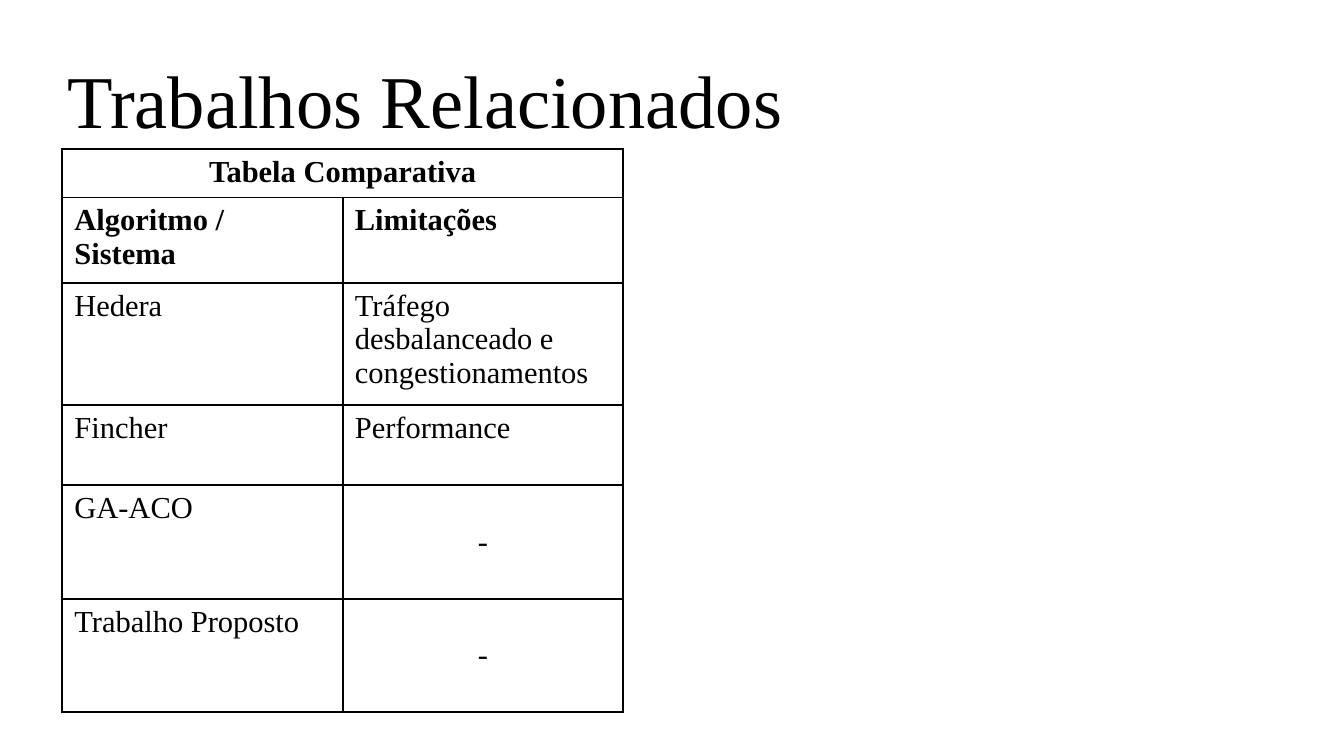
import pptx
import pptx.util
import pptx.dml.color
import pptx.enum.text
import pptx.oxml
import pptx.oxml.ns
from pptx.util import Inches

FONT = "Times New Roman"
COLORS = {"text": "000000", "border": "000000", "background": "FFFFFF"}
ROW_HEIGHTS = [0.4, 0.7, 1.0, 0.66, 0.93, 0.93]
ROWS = [
    ("Tabela Comparativa", ""),
    ("Algoritmo / Sistema", "Limitações"),
    ("Hedera", "Tráfego desbalanceado e congestionamentos"),
    ("Fincher", "Performance"),
    ("GA-ACO", "-"),
    ("Trabalho Proposto", "-"),
]
HEADER_ROWS = 2
CENTER = pptx.enum.text.PP_ALIGN.CENTER
LEFT = pptx.enum.text.PP_ALIGN.LEFT
MIDDLE = pptx.enum.text.MSO_ANCHOR.MIDDLE
TOP = pptx.enum.text.MSO_ANCHOR.TOP


def rgb(name):
    return pptx.dml.color.RGBColor.from_string(COLORS[name])


def write(tf, text, size, align=LEFT, bold=False):
    tf.text = text
    p = tf.paragraphs[0]
    p.alignment = align
    for r in p.runs:
        r.font.name = FONT
        r.font.size = pptx.util.Pt(size)
        r.font.bold = bold
        r.font.color.rgb = rgb("text")


def set_borders(cell, width=1.13):
    """Draw all four edges; the lines must come before the fill."""
    tc_pr = cell._tc.get_or_add_tcPr()
    for i, side in enumerate("LRTB"):
        tc_pr.insert(i, pptx.oxml.parse_xml(
            f'<a:ln{side} {pptx.oxml.ns.nsdecls("a")} w="{pptx.util.Pt(width)}">'
            f'<a:solidFill><a:srgbClr val="{COLORS["border"]}"/></a:solidFill>'
            f'</a:ln{side}>'))


def add_title(s, text):
    title = s.shapes.title
    title.left, title.top = Inches(0.55), Inches(0.29)
    title.width, title.height = Inches(9.92), Inches(1.04)
    tf = title.text_frame
    tf.margin_left = tf.margin_right = tf.margin_top = tf.margin_bottom = 0
    tf.auto_size = pptx.enum.text.MSO_AUTO_SIZE.NONE
    tf.vertical_anchor = MIDDLE
    write(tf, text, 44)


def add_comparison_table(s):
    frame = s.shapes.add_table(len(ROWS), 2, Inches(0.51), Inches(1.22),
                               Inches(4.6), Inches(sum(ROW_HEIGHTS)))
    table = frame.table
    table.first_row = table.horz_banding = False
    for row, height in zip(table.rows, ROW_HEIGHTS):
        row.height = Inches(height)
    for i, texts in enumerate(ROWS):
        for j, text in enumerate(texts):
            cell = table.cell(i, j)
            centered = i == 0 or text == "-"
            write(cell.text_frame, text, 18, CENTER if centered else LEFT,
                  bold=i < HEADER_ROWS)
            cell.vertical_anchor = MIDDLE if text == "-" else TOP
            cell.margin_left = cell.margin_right = Inches(0.1)
            cell.margin_top = cell.margin_bottom = Inches(0.05)
            cell.fill.background()
            set_borders(cell)
    table.cell(0, 0).merge(table.cell(0, 1))


def main():
    prs = pptx.Presentation()
    prs.slide_width, prs.slide_height = Inches(11.02), Inches(6.2)
    s = prs.slides.add_slide(prs.slide_layouts.get_by_name("Title Only"))
    s.background.fill.solid()
    s.background.fill.fore_color.rgb = rgb("background")
    add_title(s, "Trabalhos Relacionados")
    add_comparison_table(s)
    prs.save("out.pptx")


if __name__ == "__main__":
    main()
